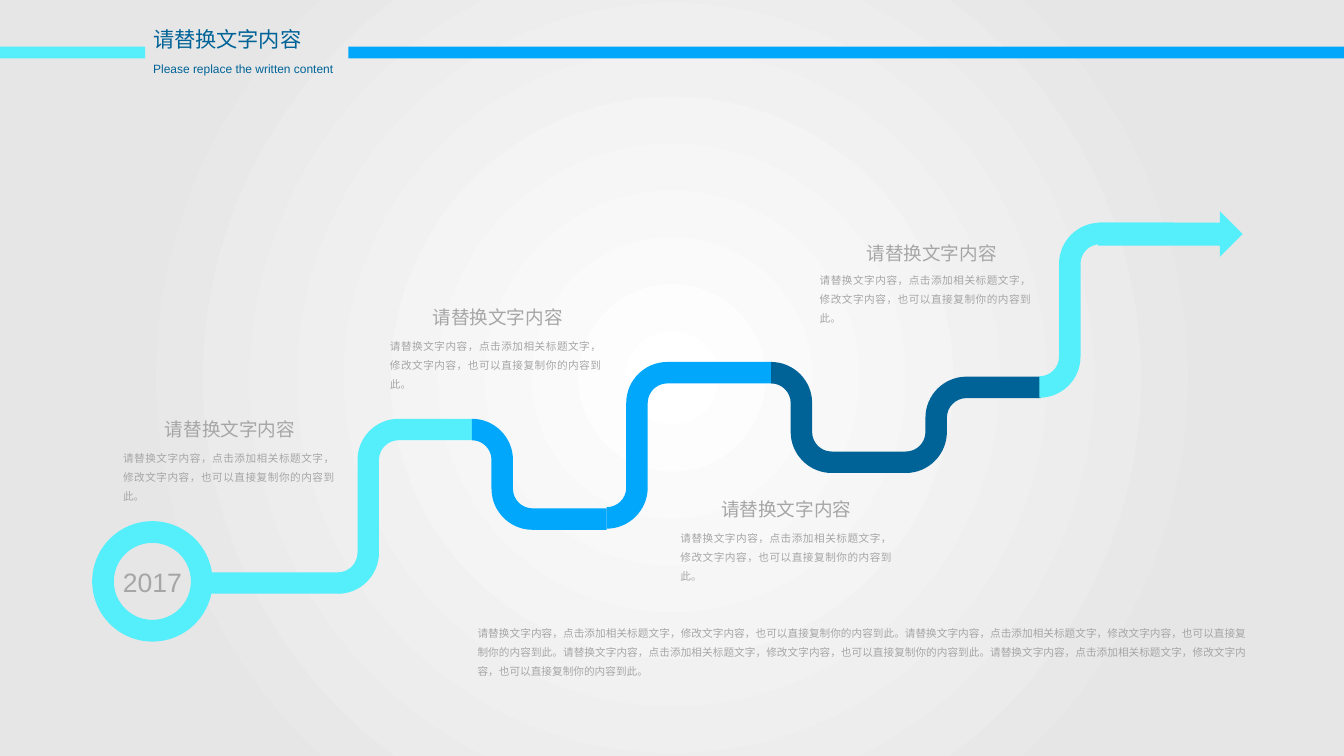
from lxml import etree
from pptx import Presentation
from pptx.dml.color import RGBColor
from pptx.enum import shapes, text
from pptx.oxml.ns import qn
from pptx.util import Cm, Pt

CYAN = RGBColor(0x55, 0xEE, 0xFB)
BLUE = RGBColor(0x00, 0xA7, 0xFB)
NAVY = RGBColor(0x00, 0x63, 0x97)
GREY = RGBColor(0xA6, 0xA6, 0xA6)
WHITE = RGBColor(0xFF, 0xFF, 0xFF)
SILVER = RGBColor(0xE6, 0xE6, 0xE6)

SLIDE_WIDTH, SLIDE_HEIGHT = 35.71, 20.09
BAND = 0.57
OUTER_RADIUS = 1.09
INNER_RADIUS = OUTER_RADIUS - BAND
QUARTER_TURN = 0.55  # Bezier handle length of a quarter circle, per radius

HEADING = "请替换文字内容"
SENTENCE = "请替换文字内容，点击添加相关标题文字，修改文字内容，也可以直接复制你的内容到此。"

# colour, left, top, width, height, whether the step goes down
STEPS = [
    (CYAN, 8.98, 11.13, 3.57, 4.65, False),
    (BLUE, 12.54, 11.13, 3.58, 2.95, True),
    (BLUE, 16.12, 9.62, 4.39, 4.43, False),
    (NAVY, 20.49, 9.62, 3.58, 2.95, True),
    (NAVY, 24.07, 10.01, 3.58, 2.56, False),
    (CYAN, 27.62, 5.92, 3.58, 4.65, False),
]

# left and top of the body text, indent and rise of the heading
CALLOUTS = [
    (10.08, 8.79, 0.91, 0.79),
    (17.8, 13.89, 0.86, 0.79),
    (21.5, 7.04, 1.02, 0.73),
    (2.99, 11.77, 0.89, 0.79),
]


def paint(shape, colour):
    shape.shadow.inherit = False
    shape.fill.solid()
    shape.fill.fore_color.rgb = colour
    shape.line.fill.background()


def add_solid(slide, kind, box, colour):
    shape = slide.shapes.add_shape(kind, *map(Cm, box))
    paint(shape, colour)
    return shape


def write(shape, words, size, colour, align=text.PP_ALIGN.LEFT,
          anchor=text.MSO_ANCHOR.TOP, spacing=1.0, wrap=True):
    frame = shape.text_frame
    frame.text = words
    frame.word_wrap = wrap
    frame.auto_size = text.MSO_AUTO_SIZE.NONE
    frame.vertical_anchor = anchor
    frame.margin_left = frame.margin_right = Cm(0.28)
    frame.margin_top = frame.margin_bottom = Cm(0.13)
    paragraph = frame.paragraphs[0]
    paragraph.alignment = align
    paragraph.line_spacing = spacing
    font = paragraph.runs[0].font
    font.size, font.name = Pt(size), "Arial"
    font.color.rgb = colour


def add_text(slide, box, words, size, colour, **layout):
    write(slide.shapes.add_textbox(*map(Cm, box)), words, size, colour, **layout)


def add_backdrop(slide):
    """Full-slide radial gradient from a white centre to a silver rim."""
    backdrop = add_solid(slide, shapes.MSO_SHAPE.RECTANGLE,
                         (0, 0, SLIDE_WIDTH, SLIDE_HEIGHT), WHITE)
    fill = backdrop.fill
    fill.gradient()
    for stop, colour, position in zip(fill.gradient_stops, (WHITE, SILVER), (0, 0.73)):
        stop.color.rgb = colour
        stop.position = position
    gradient = backdrop.element.find(".//" + qn("a:gradFill"))
    gradient.remove(gradient.find(qn("a:lin")))
    radial = etree.SubElement(gradient, qn("a:path"), path="circle")
    etree.SubElement(radial, qn("a:fillToRect"), l="50000", t="50000", r="50000", b="50000")


def add_header(slide, top):
    for left, right, colour in ((0, 3.86, CYAN), (9.26, SLIDE_WIDTH, BLUE)):
        add_solid(slide, shapes.MSO_SHAPE.RECTANGLE,
                  (left, top + 0.63, right - left, 0.31), colour)
    add_text(slide, (3.79, top + 0.89, 5.33, 0.64), "Please replace the written content",
             9, NAVY, wrap=False)
    title = slide.shapes.title
    title.left, title.top, title.width, title.height = map(Cm, (3.79, top - 0.03, 5.33, 0.94))
    write(title, HEADING, 16, NAVY)
    title.element.getparent().append(title.element)  # in front of the backdrop


def round_corner(line, start, end, vertical_first):
    """Turn a straight segment of an outline into a quarter circle."""
    corner = (start[0], end[1]) if vertical_first else (end[0], start[1])
    handles = [[round(a + QUARTER_TURN * (c - a)) for a, c in zip(point, corner)]
               for point in (start, end)]
    curve = etree.Element(qn("a:cubicBezTo"))
    for x, y in handles + [end]:
        etree.SubElement(curve, qn("a:pt"), x=str(x), y=str(y))
    line.getparent().replace(line, curve)


def add_step(slide, colour, left, top, width, height, down):
    """Bent band that climbs from lower left to upper right, or its mirror image."""
    bend = INNER_RADIUS + OUTER_RADIUS
    low = height - OUTER_RADIUS
    outline = [(0, height), (OUTER_RADIUS, low), (OUTER_RADIUS, OUTER_RADIUS),
               (bend, BAND), (width, BAND), (width, 0), (bend, 0),
               (INNER_RADIUS, OUTER_RADIUS), (INNER_RADIUS, low), (0, height - BAND)]
    points = [(Cm(left + x), Cm(top + (height - y if down else y))) for x, y in outline]
    builder = slide.shapes.build_freeform(*points[0])
    builder.add_line_segments(points[1:], close=True)
    shape = builder.convert_to_shape()
    paint(shape, colour)
    local = [(x - shape.left, y - shape.top) for x, y in points]
    lines = shape.element.findall(".//" + qn("a:lnTo"))
    for index, vertical_first in ((1, False), (3, True), (7, False), (9, True)):
        round_corner(lines[index - 1], local[index - 1], local[index], vertical_first)


def add_start(slide, left, top, size):
    ring = add_solid(slide, shapes.MSO_SHAPE.DONUT, (left, top, size, size), CYAN)
    ring.adjustments[0] = 0.18
    add_text(slide, (left, top, size, size), "2017", 20, GREY,
             align=text.PP_ALIGN.CENTER, anchor=text.MSO_ANCHOR.MIDDLE)
    add_solid(slide, shapes.MSO_SHAPE.RECTANGLE,
              (left + size - 0.07, top + 1.36, 3.42, BAND), CYAN)


def add_callout(slide, left, top, indent, rise):
    add_text(slide, (left + indent, top - rise, 4.47, 0.76), HEADING, 14, GREY,
             align=text.PP_ALIGN.CENTER)
    add_text(slide, (left, top, 6.18, 1.65), SENTENCE, 8, GREY, spacing=1.5,
             align=text.PP_ALIGN.JUSTIFY, anchor=text.MSO_ANCHOR.MIDDLE)


def add_roadmap(slide):
    for step in STEPS:
        add_step(slide, *step)
    add_start(slide, 2.45, 13.85, 3.2)
    add_solid(slide, shapes.MSO_SHAPE.RIGHT_ARROW, (29.17, 5.61, 3.85, 1.22), CYAN)
    for callout in CALLOUTS:
        add_callout(slide, *callout)
    add_text(slide, (12.41, 16.36, 21.01, 2.01), SENTENCE * 4, 8, GREY,
             align=text.PP_ALIGN.JUSTIFY, spacing=1.5)


def main():
    presentation = Presentation()
    presentation.slide_width = Cm(SLIDE_WIDTH)
    presentation.slide_height = Cm(SLIDE_HEIGHT)
    slide = presentation.slides.add_slide(presentation.slide_layouts[5])
    add_backdrop(slide)
    add_roadmap(slide)
    add_header(slide, 0.61)
    presentation.save("out.pptx")


if __name__ == "__main__":
    main()
